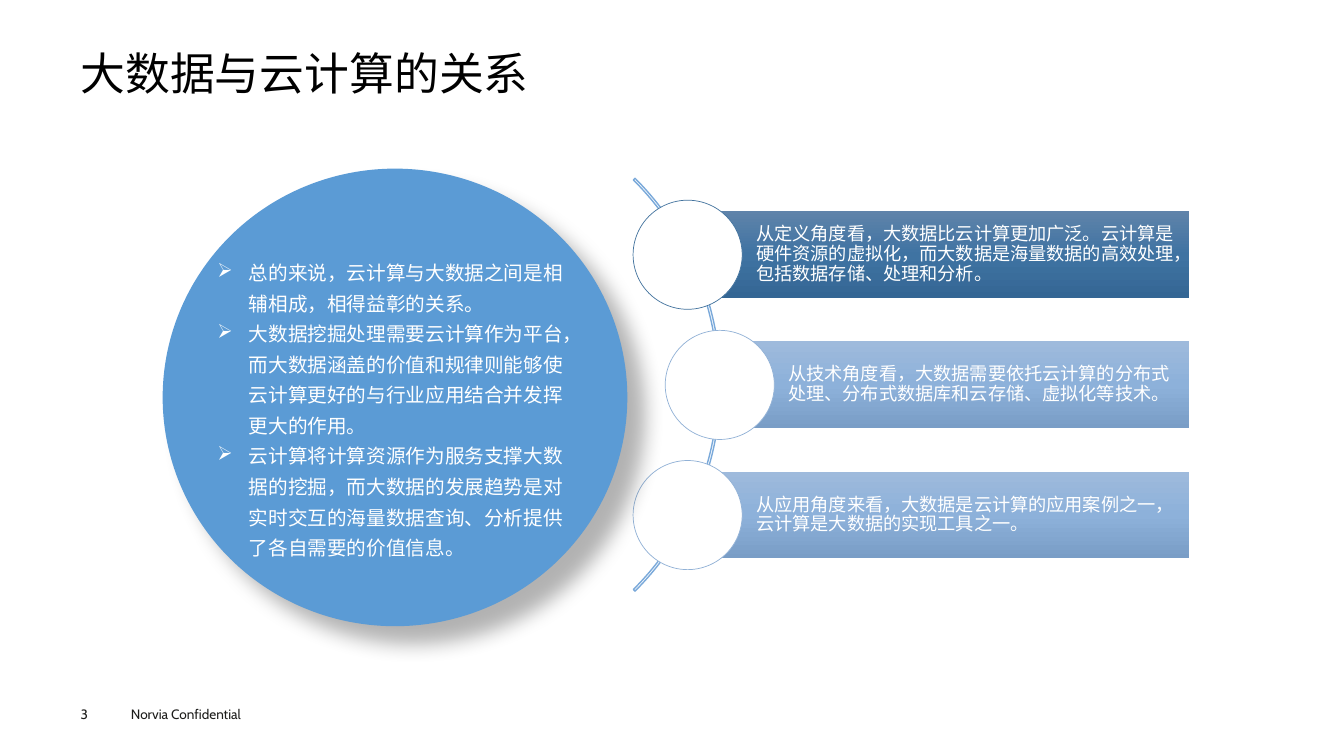
from copy import deepcopy
from dataclasses import dataclass

from lxml import etree
from pptx import Presentation, util as u
from pptx.dml import color
from pptx.enum import shapes, text
from pptx.oxml import ns

FONT = "Cabin"
WHITE = "FFFFFF"
BLUE = "5B9BD5"
DARK_BAR = ("5F83AA", "3F73A2", "346694")
LIGHT_BAR = ("9EBADC", "8DB1DA", "799DC6")

# Geometry of the three viewpoints, in centimetres
MIDDLE_Y = 9.7
PITCH = 3.28
BAR_HEIGHT = 2.19
BAR_RIGHT = 29.97
NODE_SIZE = 2.75


@dataclass(frozen=True)
class Viewpoint:
    wording: str
    node_x: float
    gradient: tuple[str, str, str]
    outline: str


VIEWPOINTS = [
    Viewpoint("从定义角度看，大数据比云计算更加广泛。云计算是硬件资源的虚拟化，而大数据是海量数据的高效处理，包括数据存储、处理和分析。",
              17.33, DARK_BAR, "43739E"),
    Viewpoint("从技术角度看，大数据需要依托云计算的分布式处理、分布式数据库和云存储、虚拟化等技术。",
              18.14, LIGHT_BAR, "91B1D6"),
    Viewpoint("从应用角度来看，大数据是云计算的应用案例之一，云计算是大数据的实现工具之一。",
              17.33, LIGHT_BAR, "91B1D6"),
]

SUMMARY = [
    "总的来说，云计算与大数据之间是相辅相成，相得益彰的关系。",
    "大数据挖掘处理需要云计算作为平台，而大数据涵盖的价值和规律则能够使云计算更好的与行业应用结合并发挥更大的作用。",
    "云计算将计算资源作为服务支撑大数据的挖掘，而大数据的发展趋势是对实时交互的海量数据查询、分析提供了各自需要的价值信息。",
]


def rgb(value: str) -> color.RGBColor:
    return color.RGBColor.from_string(value)


def write(shape, paragraphs: list[str], *, size: float, ink: str = WHITE,
          spacing: float = 1.0, anchor=text.MSO_ANCHOR.TOP,
          insets: tuple[float, float, float, float] = (0, 0, 0, 0),
          bullet: str = "", indent: float = 0) -> None:
    """Fill a shape with formatted paragraphs; insets are left, top, right, bottom."""
    frame = shape.text_frame
    frame.word_wrap = True
    frame.vertical_anchor = anchor
    (frame.margin_left, frame.margin_top,
     frame.margin_right, frame.margin_bottom) = map(u.Cm, insets)
    frame.text = "\n".join(paragraphs)
    for paragraph in frame.paragraphs:
        paragraph.alignment = text.PP_ALIGN.LEFT
        paragraph.line_spacing = spacing
        if bullet:
            props = paragraph._p.get_or_add_pPr()
            props.set("marL", str(u.Cm(indent)))
            props.set("indent", str(-u.Cm(indent)))
            etree.SubElement(props, ns.qn("a:buChar"), char=bullet)
        for run in paragraph.runs:
            run.font.name = FONT
            run.font.size = u.Pt(size)
            run.font.color.rgb = rgb(ink)


def add_text(slide, left: float, top: float, width: float, height: float,
             paragraphs: list[str], **style) -> None:
    box = slide.shapes.add_textbox(*map(u.Cm, (left, top, width, height)))
    write(box, paragraphs, **style)


def add_figure(slide, kind, left: float, top: float, width: float, height: float,
               *, fill: str = "", outline: str = "", weight: float = 0):
    figure = slide.shapes.add_shape(kind, *map(u.Cm, (left, top, width, height)))
    figure.shadow.inherit = False
    if fill:
        figure.fill.solid()
        figure.fill.fore_color.rgb = rgb(fill)
    else:
        figure.fill.background()
    if outline:
        figure.line.color.rgb = rgb(outline)
        figure.line.width = u.Pt(weight)
    else:
        figure.line.fill.background()
    return figure


def shade_downwards(figure, colours: tuple[str, str, str]) -> None:
    figure.fill.gradient()
    figure.fill.gradient_angle = 270
    stop_list = figure._element.spPr.find(".//" + ns.qn("a:gsLst"))
    stop_list.append(deepcopy(stop_list[-1]))
    for stop, position, colour in zip(figure.fill.gradient_stops, (0, 0.5, 1), colours):
        stop.position = position
        stop.color.rgb = rgb(colour)


def cast_shadow(figure) -> None:
    effects = figure._element.spPr.find(ns.qn("a:effectLst"))
    shadow = etree.SubElement(effects, ns.qn("a:outerShdw"), blurRad=str(u.Pt(15)),
                              dist=str(u.Pt(18)), dir="2700000", algn="tl",
                              rotWithShape="0")
    black = etree.SubElement(shadow, ns.qn("a:srgbClr"), val="000000")
    etree.SubElement(black, ns.qn("a:alpha"), val="30000")


def add_viewpoint(slide, row: int, view: Viewpoint) -> None:
    centre_y = MIDDLE_Y + (row - 1) * PITCH
    bar = add_figure(slide, shapes.MSO_SHAPE.RECTANGLE, view.node_x,
                     centre_y - BAR_HEIGHT / 2, BAR_RIGHT - view.node_x, BAR_HEIGHT)
    shade_downwards(bar, view.gradient)
    write(bar, [view.wording], size=13, spacing=0.9, anchor=text.MSO_ANCHOR.MIDDLE,
          insets=(1.73, 0.1, 0.1, 0.1))
    add_figure(slide, shapes.MSO_SHAPE.OVAL, view.node_x - NODE_SIZE / 2,
               centre_y - NODE_SIZE / 2, NODE_SIZE, NODE_SIZE,
               fill=WHITE, outline=view.outline, weight=0.5)


def main() -> None:
    deck = Presentation()
    deck.slide_width, deck.slide_height = u.Cm(33.87), u.Cm(19.05)
    slide = deck.slides.add_slide(deck.slide_layouts[6])

    # Footer and title
    add_text(slide, 3.05, 17.65, 4.06, 0.69, ["Norvia Confidential"], size=9.7,
             ink="1D1D1B", insets=(0.25, 0.13, 0.25, 0.13))
    add_text(slide, 2.03, 17.78, 1.4, 0.41, ["3"], size=9.7, ink="1D1D1B")
    add_text(slide, 2.03, 1.24, 29.79, 1.37, ["大数据与云计算的关系"], size=32,
             ink="000000", spacing=0.9, anchor=text.MSO_ANCHOR.MIDDLE)

    # Arc that links the viewpoints
    arc = add_figure(slide, shapes.MSO_SHAPE.BLOCK_ARC, 3.45, 2.34, 14.71, 14.71,
                     outline="7AA9DA", weight=1)
    for index, value in enumerate((189, 27, 0.004)):
        arc.adjustments[index] = value

    # Viewpoints
    for row, view in enumerate(VIEWPOINTS):
        add_viewpoint(slide, row, view)

    # Summary circle
    circle = add_figure(slide, shapes.MSO_SHAPE.OVAL, 4.1, 4.25, 11.71, 11.53, fill=BLUE)
    cast_shadow(circle)
    add_text(slide, 5.23, 6.27, 9.45, 8.03, SUMMARY, size=14, spacing=1.3,
             insets=(0.25, 0.13, 0.25, 0.13), bullet="➢", indent=0.79)

    deck.save("out.pptx")


if __name__ == "__main__":
    main()
